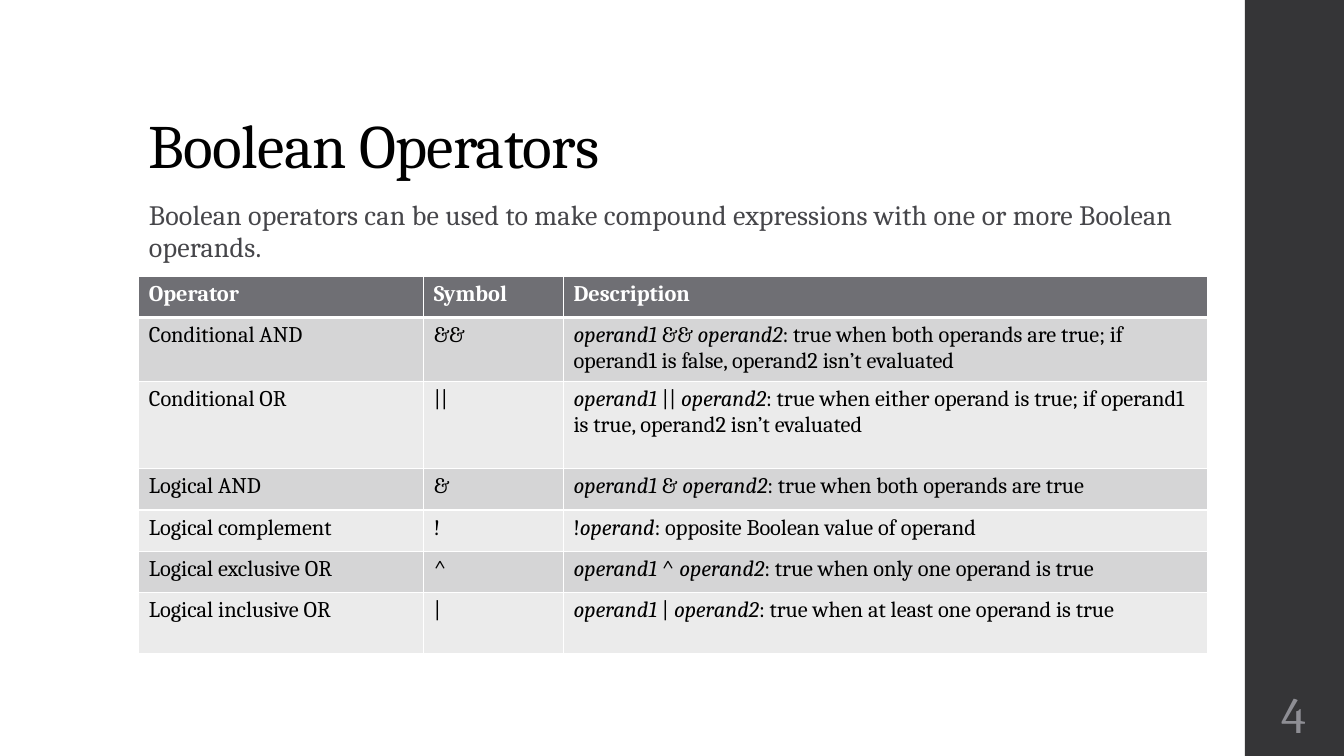
from lxml import etree
from pptx import Presentation
from pptx.dml.color import RGBColor
from pptx.enum import shapes, text
from pptx.oxml import ns
from pptx.util import Cm, Pt

FONT = "Cambria"
COLORS = {
    "black": "000000", "white": "FFFFFF", "bar": "353537", "body": "46464A",
    "head": "6F6F74", "dark": "D5D5D6", "light": "EBEBEB", "page": "8E8E94",
}
LEFT, WIDTH = 3.5, 26.92
COLS = [7.18, 3.52, 16.22]
ROWS = [
    ("Operator", "Symbol", "Description", 1.04),
    ("Conditional AND", "&&", "*operand1* && *operand2*: true when both operands are true; "
     "if operand1 is false, operand2 isn’t evaluated", 1.55),
    ("Conditional OR", "||", "*operand1* || *operand2*: true when either operand is true; "
     "if operand1 is true, operand2 isn’t evaluated", 2.2),
    ("Logical AND", "&", "*operand1* & *operand2*: true when both operands are true", 1.04),
    ("Logical complement", "!", "!*operand*: opposite Boolean value of operand", 1.04),
    ("Logical exclusive OR", "^",
     "*operand1* ^ *operand2*: true when only one operand is true", 1.04),
    ("Logical inclusive OR", "|",
     "*operand1* | *operand2*: true when at least one operand is true", 1.55),
]


def color(name):
    return RGBColor.from_string(COLORS[name])


def style(run, size, name, bold=False, italic=False, track=0):
    font = run.font
    font.name, font.size, font.bold, font.italic = FONT, Pt(size), bold, italic
    font.color.rgb = color(name)
    if track:
        run._r.get_or_add_rPr().set("spc", str(track))


def place(shape, box):
    shape.left, shape.top, shape.width, shape.height = map(Cm, box)


def add_text(shape, box, words, size, name, space, track):
    place(shape, box)
    frame = shape.text_frame
    frame.text = words
    frame.word_wrap = True
    frame.auto_size = text.MSO_AUTO_SIZE.NONE
    frame.vertical_anchor = text.MSO_ANCHOR.BOTTOM
    para = frame.paragraphs[0]
    para.alignment = text.PP_ALIGN.LEFT
    para.line_spacing = space
    para.space_before = Pt(0)
    style(para.runs[0], size, name, track=track)
    return para


def add_body(shape, box, words):
    para = add_text(shape, box, words, 20, "body", 0.95, 10)
    para.space_after = Pt(2)
    props = para._p.get_or_add_pPr()
    props.set("marL", "0")
    props.set("indent", "0")
    etree.SubElement(props, ns.qn("a:buNone"))


def add_edges(cell, base):
    props = cell._tc.get_or_add_tcPr()
    for spot, (side, width) in enumerate([("L", 1), ("R", 1), ("T", 1), ("B", base)]):
        line = etree.Element(ns.qn("a:ln" + side), w=str(Pt(width)))
        fill = etree.SubElement(line, ns.qn("a:solidFill"))
        etree.SubElement(fill, ns.qn("a:srgbClr"), val=COLORS["white"])
        props.insert(spot, line)


def fill_cell(cell, words, row):
    head = row == 0
    cell.fill.solid()
    cell.fill.fore_color.rgb = color("head" if head else "dark" if row % 2 else "light")
    add_edges(cell, 3 if head else 1)
    para = cell.text_frame.paragraphs[0]
    for part, piece in enumerate(words.split("*")):
        if piece:
            run = para.add_run()
            run.text = piece
            style(run, 16, "white" if head else "black", head, part % 2 == 1)


def add_grid(slide, box):
    grid = slide.shapes.add_table(len(ROWS), len(COLS), *map(Cm, box)).table
    for col, width in zip(grid.columns, COLS):
        col.width = Cm(width)
    for row, (*words, height) in enumerate(ROWS):
        grid.rows[row].height = Cm(height)
        for col, word in enumerate(words):
            fill_cell(grid.cell(row, col), word, row)


def add_bar(slide, box, page):
    left, top, width, height = box
    bar = slide.shapes.add_shape(shapes.MSO_SHAPE.RECTANGLE, *map(Cm, box))
    bar.shadow.inherit = False
    bar.fill.solid()
    bar.fill.fore_color.rgb = color("bar")
    bar.line.fill.background()
    label = slide.shapes.add_textbox(*map(Cm, (left, top + height - 1.9, width, 1.65)))
    frame = label.text_frame
    frame.text = page
    frame.word_wrap = True
    frame.vertical_anchor = text.MSO_ANCHOR.MIDDLE
    frame.margin_left = frame.margin_right = Cm(0.13)
    frame.margin_top = frame.margin_bottom = Cm(0.13)
    para = frame.paragraphs[0]
    para.alignment = text.PP_ALIGN.CENTER
    style(para.runs[0], 36, "page")


def main():
    deck = Presentation()
    deck.slide_width, deck.slide_height = Cm(33.87), Cm(19.05)
    slide = deck.slides.add_slide(deck.slide_layouts[1])
    add_bar(slide, (31.37, 0, 2.5, 19.05), "4")
    add_text(slide.shapes.title, (LEFT, 1.02, WIDTH, 3.68), "Boolean Operators",
             44, "black", 0.9, -50)
    add_body(slide.placeholders[1], (LEFT, 4.75, WIDTH, 2.03),
             "Boolean operators can be used to make compound expressions "
             "with one or more Boolean operands.")
    add_grid(slide, (LEFT, 6.96, WIDTH, sum(row[-1] for row in ROWS)))
    deck.save("out.pptx")


if __name__ == "__main__":
    main()
